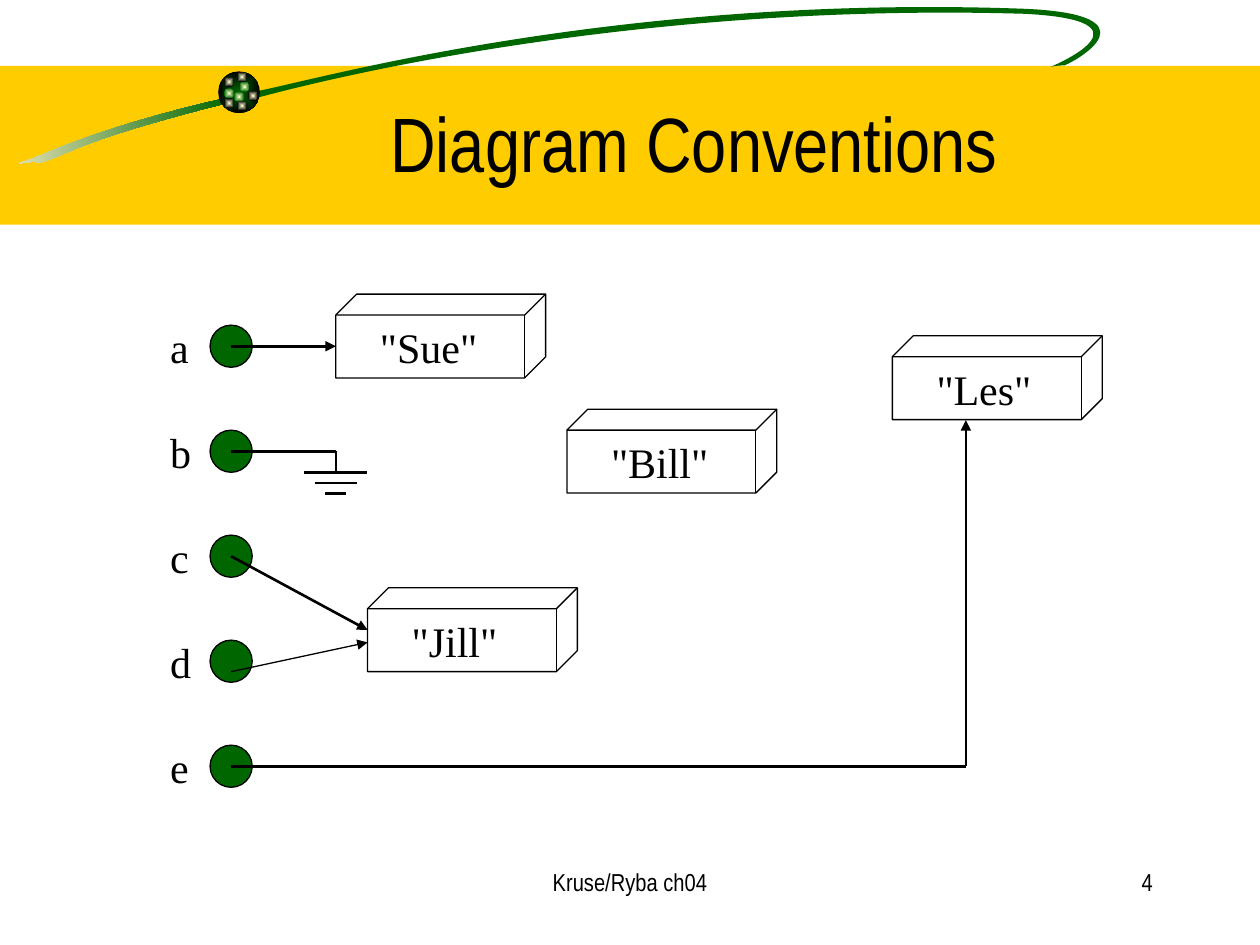
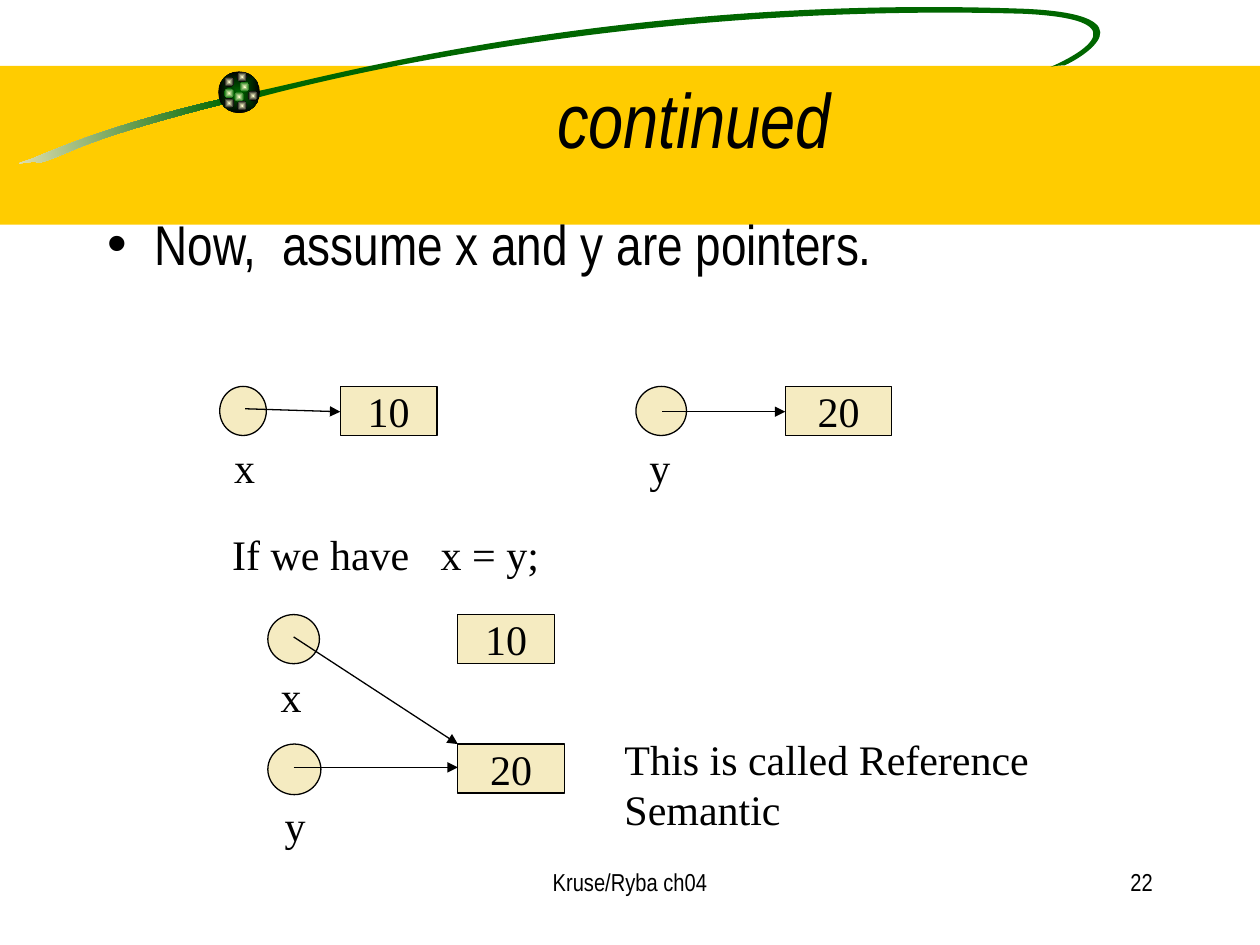
from dataclasses import dataclass
from math import cos, radians, sin

from pptx import Presentation
from pptx.dml.color import RGBColor
from pptx.enum import shapes, text
from pptx.oxml import ns, parse_xml
from pptx.util import Cm, Pt


@dataclass(frozen=True)
class Theme:
    black: str = "000000"
    white: str = "FFFFFF"
    band: str = "FFCC00"
    green: str = "006600"
    cream: str = "F5EBC1"
    glow: str = "FFFFCC"
    heading_font: str = "Arial Narrow"
    diagram_font: str = "Times New Roman"
    title_size: int = 44
    body_size: int = 32
    diagram_size: int = 24
    footer_size: int = 14
    thin: float = 0.75
    thick: float = 1.5


THEME = Theme()
FOOTER = "Kruse/Ryba ch04"
INSETS = (0.25, 0.13, 0.25, 0.13)

# Master decoration: a curve is its centre, its start and triples of Bézier points (cm).
BAND = (0, 1.33, 25.4, 3.2)
VEIL = (1.88, 5.23, 3.1, 13.82)
TILT = -8.5
TAIL = ((2.26, 2.69), (4.52, 1.98), [
    [(2.31, 2.49), (1.24, 2.95), (0.64, 3.2)],
    [(0.03, 3.4), (0.66, 3.2), (0.79, 3.28)],
    [(1.45, 3.1), (1.45, 2.87), (4.55, 2.08)],
    [(4.55, 2.08), (4.52, 1.98), (4.52, 1.98)],
])
ORBIT = ((14.2, 1.0), (5.13, 1.85), [
    [(6.25, 1.65), (12.34, -0.13), (20.68, 0.18)],
    [(23.29, 0.3), (21.77, 1.19), (21.46, 1.32)],
    [(21.46, 1.32), (21.28, 1.32), (21.18, 1.35)],
    [(21.44, 1.24), (23.27, 0.41), (20.65, 0.28)],
    [(13.92, 0.08), (8.13, 1.19), (5.23, 1.96)],
    [(5.23, 1.96), (5.13, 1.85), (5.13, 1.85)],
])
BALL = (4.4, 1.44, 0.84, 0.84)
SPOT_SIZE = 0.2
SPOTS = {
    THEME.green: [(4.83, 1.65), (4.52, 1.78), (4.72, 1.85)],
    THEME.black: [(4.52, 1.55), (5.0, 1.83), (4.78, 2.03), (4.52, 1.98), (4.78, 1.45)],
}

# Slide 1
POINTERS = ["a", "b", "c", "d", "e"]
POINTER_X, FIRST_ROW_Y, ROW_PITCH, DOT = 4.66, 6.98, 25.4 / 12, 0.85
NAME_CUBES = [('"Sue"', 6.77, 5.93), ('"Bill"', 11.43, 8.25),
              ('"Les"', 17.99, 6.77), ('"Jill"', 7.41, 11.85)]
CUBE_SIZE = (4.23, 1.69)
GROUND_X, GROUND_Y, GROUND_GAP = 6.77, 9.53, 0.21
GROUND_WIDTHS = [1.27, 0.85, 0.42]
LES_X, LES_BOTTOM = 19.47, 8.47

# Slide 2
BULLET = "Now,  assume x and y are pointers."
CIRCLES = [(4.43, 7.79, 0.94, 0.99), (12.82, 7.79, 1.02, 0.99),
           (5.4, 12.39, 1.04, 0.99), (5.4, 15.0, 1.07, 1.02)]
VALUE_BOXES = [("10", 6.86, 7.79, 1.95), ("20", 15.83, 7.79, 2.15),
               ("10", 9.23, 12.39, 1.95), ("20", 9.23, 15.0, 2.15)]
VALUE_HEIGHT = 0.99
ARROWS = [((4.94, 8.24), (6.86, 8.3)), ((13.35, 8.3), (15.83, 8.3)),
          ((5.92, 15.47), (9.23, 15.47)), ((5.92, 12.84), (9.23, 15.0))]
NOTES = [("x", 4.47, 8.77, 0.94, 1.27), ("y", 12.84, 8.77, 1.02, 1.27),
         ("If we have   x = y;", 4.43, 10.52, 9.42, 1.27),
         ("x", 5.41, 13.38, 0.94, 1.27), ("y", 5.49, 15.99, 1.0, 1.27),
         ("This is called Reference Semantic", 12.34, 14.65, 11.28, 2.29)]


def rgb(colour):
    return RGBColor.from_string(colour)


def lengths(values):
    return [Cm(value) for value in values]


def write(shape, words, font, size, align=text.PP_ALIGN.LEFT, insets=INSETS,
          anchor=text.MSO_ANCHOR.TOP, wrap=True, italic=None):
    frame = shape.text_frame
    frame.text = words
    frame.word_wrap = wrap
    frame.auto_size = text.MSO_AUTO_SIZE.NONE
    frame.vertical_anchor = anchor
    (frame.margin_left, frame.margin_top,
     frame.margin_right, frame.margin_bottom) = lengths(insets)
    paragraph = frame.paragraphs[0]
    paragraph.alignment = align
    for run in paragraph.runs:
        run.font.name, run.font.size, run.font.italic = font, Pt(size), italic
        run.font.color.rgb = rgb(THEME.black)


def write_diagram(shape, words, **options):
    write(shape, words, THEME.diagram_font, THEME.diagram_size, **options)


def add_label(slide, words, *box):
    write_diagram(slide.shapes.add_textbox(*lengths(box)), words)


def paint(shape, fill=None, outlined=False):
    shape.shadow.inherit = False
    if fill:
        shape.fill.solid()
        shape.fill.fore_color.rgb = rgb(fill)
    else:
        shape.fill.background()
    if outlined:
        shape.line.color.rgb = rgb(THEME.black)
        shape.line.width = Pt(THEME.thin)
    else:
        shape.line.fill.background()


def add_figure(owner, kind, box, fill=None, outlined=False):
    shape = owner.shapes.add_shape(kind, *lengths(box))
    paint(shape, fill, outlined)
    return shape


def shade(shape, first, last, from_centre=True):
    """Fill with a two-colour gradient, from the centre or from the left."""
    shape.fill.gradient()
    shape.fill.gradient_angle = 0
    for stop, colour, position in zip(shape.fill.gradient_stops, (first, last), (0, 1)):
        stop.color.rgb = rgb(colour)
        stop.position = position
    if from_centre:
        linear = shape.element.spPr.find(".//" + ns.qn("a:lin"))
        linear.getparent().replace(linear, parse_xml(
            f'<a:path {ns.nsdecls("a")} path="rect">'
            '<a:fillToRect l="50000" t="50000" r="50000" b="50000"/></a:path>'))


def add_line(slide, start, end, width, arrow=False):
    line = slide.shapes.add_connector(
        shapes.MSO_CONNECTOR.STRAIGHT, *lengths(start + end))
    line.line.color.rgb = rgb(THEME.black)
    line.line.width = Pt(width)
    properties = line.element.spPr
    if arrow:
        properties.find(ns.qn("a:ln")).append(
            parse_xml(f'<a:tailEnd {ns.nsdecls("a")} type="triangle"/>'))
    properties.append(parse_xml(f'<a:effectLst {ns.nsdecls("a")}/>'))


def level(point, centre):
    """Undo the tilt of a point, so that the finished shape can be rotated."""
    angle = radians(-TILT)
    x, y = point[0] - centre[0], point[1] - centre[1]
    return lengths((centre[0] + x * cos(angle) - y * sin(angle),
                    centre[1] + x * sin(angle) + y * cos(angle)))


def add_curve(owner, curve, fill):
    """Build the outline from its control points, then join each three as a Bézier."""
    centre, start, segments = curve
    builder = owner.shapes.build_freeform(*level(start, centre))
    builder.add_line_segments(
        [level(point, centre) for segment in segments for point in segment], close=True)
    shape = builder.convert_to_shape()
    corners = list(shape.element.iter(ns.qn("a:lnTo")))
    for first in range(0, len(corners) - 2, 3):
        bezier = parse_xml(f'<a:cubicBezTo {ns.nsdecls("a")}/>')
        corners[first].addprevious(bezier)
        for corner in corners[first:first + 3]:
            bezier.append(corner[0])
            corner.getparent().remove(corner)
    shape.rotation = TILT
    paint(shape, fill)
    return shape


def decorate_master(presentation, slide):
    """Draw the band and orbit as a group on a slide, then move it to the master."""
    oval, rectangle = shapes.MSO_SHAPE.OVAL, shapes.MSO_SHAPE.RECTANGLE
    group = slide.shapes.add_group_shape()
    add_figure(group, rectangle, BAND, THEME.band)
    shade(add_curve(group, TAIL, THEME.cream), THEME.cream, THEME.green, from_centre=False)
    add_curve(group, ORBIT, THEME.green)
    shade(add_figure(group, oval, BALL), THEME.green, THEME.black)
    for edge, places in SPOTS.items():
        for place in places:
            spot = add_figure(group, oval, place + (SPOT_SIZE, SPOT_SIZE))
            shade(spot, THEME.glow, edge)
    veil = add_figure(group, rectangle, VEIL, THEME.white)
    veil.element.spPr.find(".//" + ns.qn("a:srgbClr")).append(
        parse_xml(f'<a:alpha {ns.nsdecls("a")} val="50000"/>'))
    for number, properties in enumerate(group.element.xpath(".//p:cNvPr"), 20):
        properties.set("id", str(number))
    presentation.slide_master.shapes.element.append(group.element)


def add_slide(presentation, layout, title, number, title_height, italic=None):
    slide = presentation.slides.add_slide(presentation.slide_layouts[layout])
    heading = slide.shapes.title
    heading.left, heading.top, heading.width, heading.height = lengths(
        (3.2, 1.27, 21.59, title_height))
    write(heading, title, THEME.heading_font, THEME.title_size, text.PP_ALIGN.CENTER,
          anchor=text.MSO_ANCHOR.MIDDLE, italic=italic)
    for words, left, width, align in (
            (FOOTER, 8.68, 8.04, text.PP_ALIGN.CENTER),
            (str(number), 18.2, 5.29, text.PP_ALIGN.RIGHT)):
        footer = slide.shapes.add_textbox(*lengths((left, 17.35, width, 1.27)))
        write(footer, words, THEME.heading_font, THEME.footer_size, align)
    return slide


def draw_conventions(slide):
    for name, left, top in NAME_CUBES:
        cube = add_figure(slide, shapes.MSO_SHAPE.CUBE, (left, top) + CUBE_SIZE, outlined=True)
        write_diagram(cube, name, insets=(0.89, 0.13, 0, 0))

    rows = {name: FIRST_ROW_Y + ROW_PITCH * index for index, name in enumerate(POINTERS)}
    for name, y in rows.items():
        add_label(slide, name, 3.18, y - 0.63, 1.06, 1.27)
        add_figure(slide, shapes.MSO_SHAPE.OVAL,
                   (POINTER_X - DOT / 2, y - DOT / 2, DOT, DOT), THEME.green, outlined=True)

    corner = (LES_X, rows["e"])
    for start, end, width, arrow in (
            ((POINTER_X, rows["a"]), (6.77, rows["a"]), THEME.thick, True),
            ((POINTER_X, rows["b"]), (GROUND_X, rows["b"]), THEME.thick, False),
            ((GROUND_X, rows["b"]), (GROUND_X, GROUND_Y), THEME.thick, False),
            ((POINTER_X, rows["c"]), (7.41, 12.7), THEME.thick, True),
            ((POINTER_X, rows["d"] + 0.21), (7.41, 12.95), THEME.thin, True),
            ((POINTER_X, rows["e"]), corner, THEME.thick, False),
            (corner, (LES_X, LES_BOTTOM), THEME.thick, True)):
        add_line(slide, start, end, width, arrow)
    for index, width in enumerate(GROUND_WIDTHS):
        y = GROUND_Y + GROUND_GAP * index
        add_line(slide, (GROUND_X - width / 2, y), (GROUND_X + width / 2, y), THEME.thick)


def draw_reference_semantic(slide):
    body = slide.placeholders[1]
    body.left, body.top, body.width, body.height = lengths((1.91, 4.09, 21.59, 14.45))
    write(body, BULLET, THEME.heading_font, THEME.body_size)
    for box in CIRCLES:
        add_figure(slide, shapes.MSO_SHAPE.OVAL, box, THEME.cream, outlined=True)
    for value, left, top, width in VALUE_BOXES:
        box = add_figure(slide, shapes.MSO_SHAPE.RECTANGLE,
                         (left, top, width, VALUE_HEIGHT), THEME.cream, outlined=True)
        write_diagram(box, value, align=text.PP_ALIGN.CENTER,
                      anchor=text.MSO_ANCHOR.MIDDLE, wrap=False)
    for start, end in ARROWS:
        add_line(slide, start, end, THEME.thin, arrow=True)
    for note in NOTES:
        add_label(slide, *note)


def main():
    presentation = Presentation()
    presentation.slide_width, presentation.slide_height = Cm(25.4), Cm(19.05)
    conventions = add_slide(presentation, 5, "Diagram Conventions", 4, 3.18)
    decorate_master(presentation, conventions)
    draw_conventions(conventions)
    continued = add_slide(presentation, 1, "continued", 22, 2.21, italic=True)
    draw_reference_semantic(continued)
    presentation.save("out.pptx")


if __name__ == "__main__":
    main()
